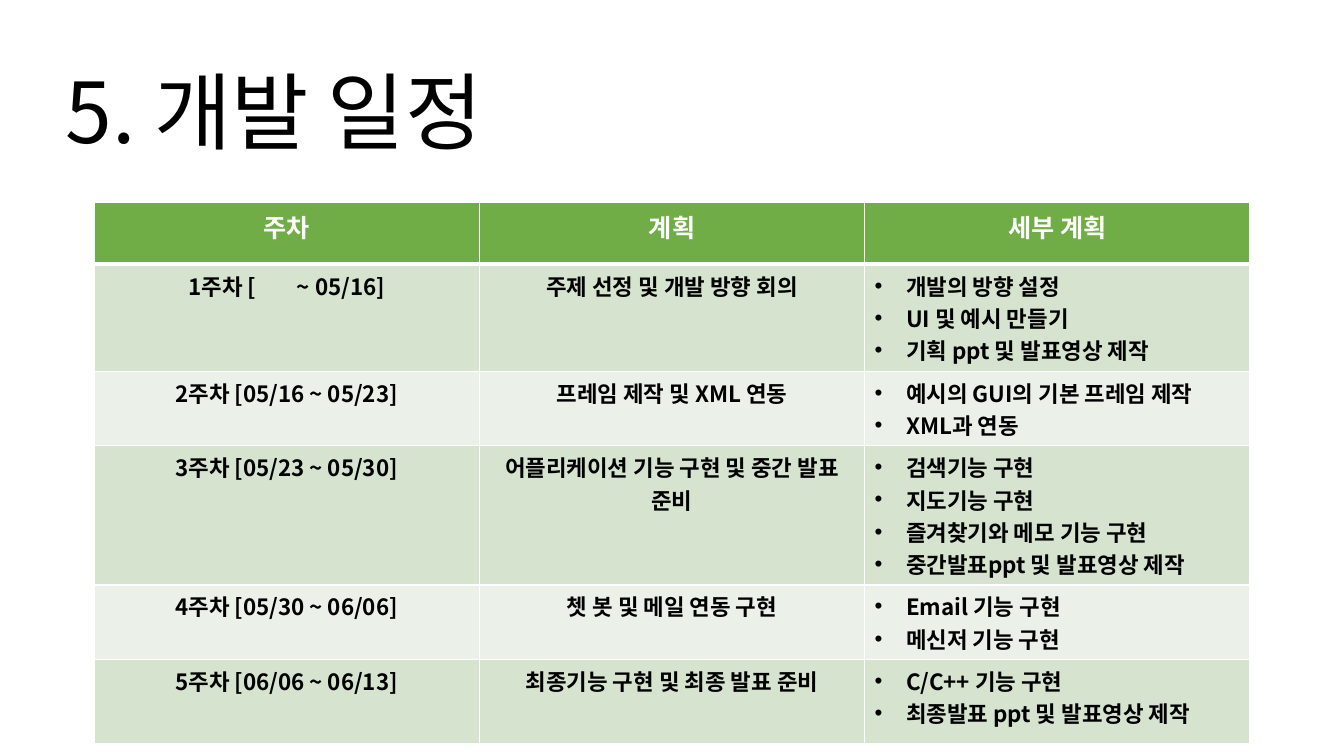
import pptx
import pptx.dml.color
import pptx.enum.text
import pptx.oxml
import pptx.oxml.ns
import pptx.util
from pptx.util import Cm

FONT = "Noto Sans CJK KR"
NAMESPACE = pptx.oxml.ns.nsdecls("a")
ALIGN = pptx.enum.text.PP_ALIGN


def color(value):
    return pptx.dml.color.RGBColor.from_string(value)


def add_text(paragraph, text, size, text_color, bold):
    run = paragraph.add_run()
    run.text = text
    formats = {"name": FONT, "size": pptx.util.Pt(size), "bold": bold}
    for name, value in formats.items():
        setattr(run.font, name, value)
    run.font.color.rgb = color(text_color)
    # Hangul takes the East Asian font
    run.font._element.append(
        pptx.oxml.parse_xml(f'<a:ea {NAMESPACE} typeface="{FONT}"/>'))


presentation = pptx.Presentation()
presentation.slide_width = Cm(33.87)
presentation.slide_height = Cm(19.05)
slide = presentation.slides.add_slide(presentation.slide_layouts[5])

# Title
title = slide.shapes.title
position = {"left": Cm(1.4), "top": Cm(1.24), "width": Cm(13.77), "height": Cm(2.97)}
for name, value in position.items():
    setattr(title, name, value)
frame_formats = {
    "word_wrap": True,
    "auto_size": pptx.enum.text.MSO_AUTO_SIZE.NONE,
    "vertical_anchor": pptx.enum.text.MSO_ANCHOR.BOTTOM,
}
for name, value in frame_formats.items():
    setattr(title.text_frame, name, value)
paragraph = title.text_frame.paragraphs[0]
paragraph.alignment = ALIGN.LEFT
paragraph.line_spacing = 0.9
add_text(paragraph, "5. 개발 일정", 60, "000000", False)

# Schedule: week, plan, detailed plans
schedule = [
    ("주차", "계획", ["세부 계획"]),
    ("1주차 [        ~ 05/16]", "주제 선정 및 개발 방향 회의",
     ["개발의 방향 설정", "UI 및 예시 만들기", "기획 ppt 및 발표영상 제작"]),
    ("2주차 [05/16 ~ 05/23]", "프레임 제작 및 XML 연동",
     ["예시의 GUI의 기본 프레임 제작", "XML과 연동"]),
    ("3주차 [05/23 ~ 05/30]", "어플리케이션 기능 구현 및 중간 발표 준비",
     ["검색기능 구현", "지도기능 구현", "즐겨찾기와 메모 기능 구현",
      "중간발표ppt 및 발표영상 제작"]),
    ("4주차 [05/30 ~ 06/06]", "쳇 봇 및 메일 연동 구현",
     ["Email 기능 구현", "메신저 기능 구현"]),
    ("5주차 [06/06 ~ 06/13]", "최종기능 구현 및 최종 발표 준비",
     ["C/C++ 기능 구현", "최종발표 ppt 및 발표영상 제작"]),
]
row_heights = [1.55, 1.55, 1.55, 2.11, 1.55, 2.11]
table = slide.shapes.add_table(
    len(schedule), 3, Cm(2.37), Cm(5.11), Cm(29.13), Cm(sum(row_heights))).table
for column in table.columns:
    column.width = Cm(9.71)

for row_index, (week, plan, details) in enumerate(schedule):
    table.rows[row_index].height = Cm(row_heights[row_index])
    is_header = row_index == 0
    band = "D5E3CF" if row_index % 2 else "EBF1E9"
    for column_index, lines in enumerate([[week], [plan], details]):
        cell = table.cell(row_index, column_index)

        # White borders, thicker between header and body
        properties = cell._tc.get_or_add_tcPr()
        for side in ("L", "R", "T", "B"):
            thick = (is_header and side == "B") or (row_index == 1 and side == "T")
            width = pptx.util.Pt(3 if thick else 1)
            properties.append(pptx.oxml.parse_xml(
                f'<a:ln{side} {NAMESPACE} w="{width}"><a:solidFill>'
                f'<a:srgbClr val="FFFFFF"/></a:solidFill></a:ln{side}>'))
        cell.fill.solid()
        cell.fill.fore_color.rgb = color("70AD47" if is_header else band)

        # Cell text, bulleted in the detail column
        for line_index, line in enumerate(lines):
            frame = cell.text_frame
            paragraph = frame.add_paragraph() if line_index else frame.paragraphs[0]
            if column_index == 2 and not is_header:
                paragraph.alignment = ALIGN.LEFT
                bullet = paragraph._p.get_or_add_pPr()
                bullet.set("marL", str(Cm(0.79)))
                bullet.set("indent", str(-Cm(0.79)))
                for tag in ('buFont {} typeface="Arial"', 'buChar {} char="•"'):
                    bullet.append(pptx.oxml.parse_xml(f"<a:{tag.format(NAMESPACE)}/>"))
            else:
                paragraph.alignment = ALIGN.CENTER
            add_text(paragraph, line, 18 if is_header else 16,
                     "FFFFFF" if is_header else "000000", True)

presentation.save("out.pptx")
